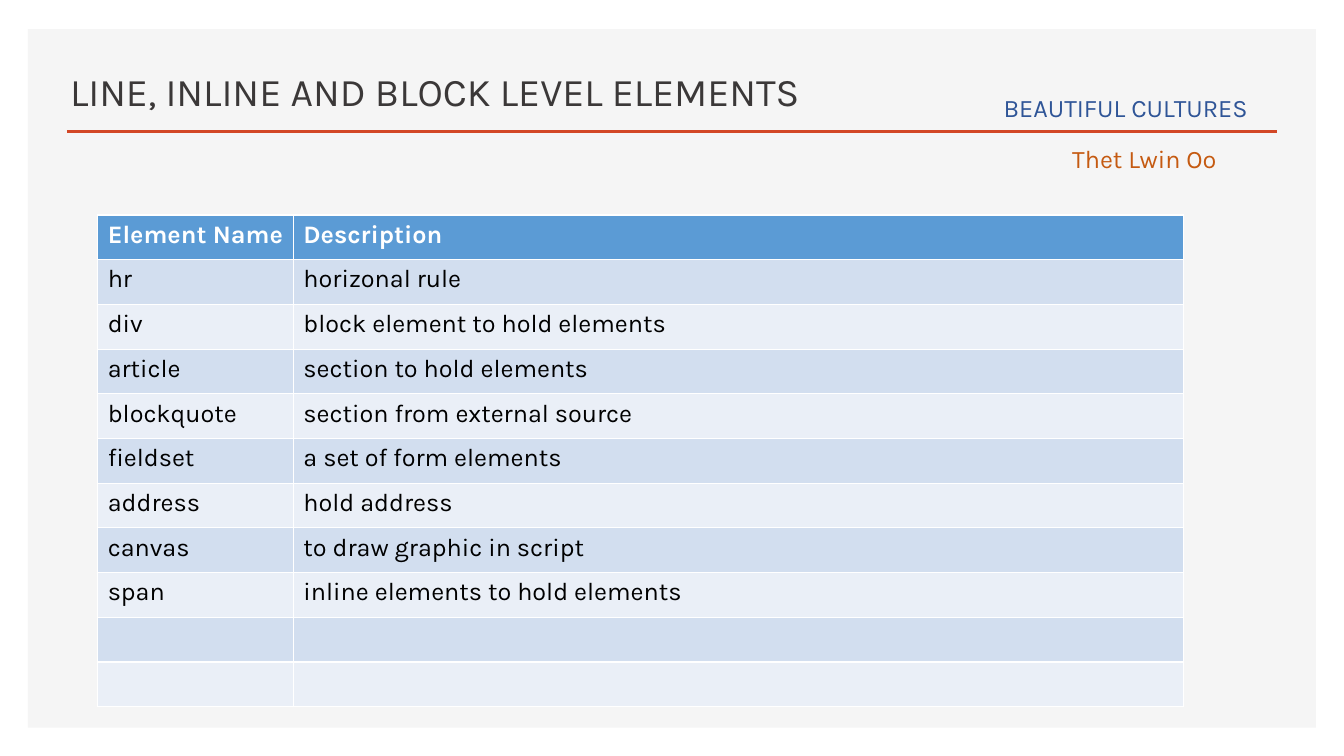
"""Build a slide that lists HTML line, inline and block level elements."""
from dataclasses import dataclass

from lxml.etree import SubElement
from pptx import Presentation
from pptx.dml.color import RGBColor
from pptx.enum.shapes import MSO_CONNECTOR as Connector, MSO_SHAPE as Preset
from pptx.enum.text import MSO_ANCHOR as Anchor, MSO_AUTO_SIZE as AutoSize, PP_ALIGN as Align
from pptx.oxml.ns import qn
from pptx.util import Pt


@dataclass(frozen=True)
class Theme:
    """Colours, font and type sizes of the slide."""
    font: str = "Karla"
    title_size: float = 28
    body_size: float = 18
    panel: str = "F5F5F5"
    rule: str = "D24726"
    title: str = "3B3838"
    series: str = "2F5597"
    author: str = "C55A11"
    header: str = "5B9BD5"
    header_text: str = "FFFFFF"
    cell_text: str = "000000"
    bands: tuple = ("D2DEEF", "EAEFF7")


ELEMENTS = [
    ("Element Name", "Description"),
    ("hr", "horizonal rule"),
    ("div", "block element to hold elements"),
    ("article", "section to hold elements"),
    ("blockquote", "section from external source"),
    ("fieldset", "a set of form elements"),
    ("address", "hold address"),
    ("canvas", "to draw graphic in script"),
    ("span", "inline elements to hold elements"),
    ("", ""),
    ("", ""),
]


def apply(target, **values):
    """Set several attributes on one object."""
    for name, value in values.items():
        setattr(target, name, value)


class Builder:
    """Holds the theme and the current slide, and adds elements to it."""

    def __init__(self, theme, page):
        """Keep the theme and the slide."""
        self.theme, self.page = theme, page

    def paint(self, fill, color):
        """Give a fill one solid colour."""
        fill.solid()
        fill.fore_color.rgb = RGBColor.from_string(color)

    def set_text(self, frame, text, color, size, bold=False):
        """Put one left-aligned paragraph in the theme font."""
        para = frame.paragraphs[0]
        apply(para, text=text, alignment=Align.LEFT)
        for font in [para.font] + [span.font for span in para.runs]:
            apply(font, name=self.theme.font, size=Pt(size), bold=bold)
            font.color.rgb = RGBColor.from_string(color)

    def panel(self, left, top, width, height):
        """Add the plain background panel."""
        box = self.page.shapes.add_shape(
            Preset.RECTANGLE, Pt(left), Pt(top), Pt(width), Pt(height))
        box.shadow.inherit = False
        self.paint(box.fill, self.theme.panel)
        box.line.fill.background()

    def rule(self, left, right, y, weight):
        """Add a horizontal line without a shadow."""
        line = self.page.shapes.add_connector(
            Connector.STRAIGHT, Pt(left), Pt(y), Pt(right), Pt(y))
        self.paint(line.line.fill, self.theme.rule)
        line.line.width = Pt(weight)
        SubElement(line._element.spPr, qn("a:effectLst"))

    def title(self, text, left, top, width, height):
        """Fill the title placeholder and bring it in front of the panel."""
        box = self.page.shapes.title
        apply(box, left=Pt(left), top=Pt(top), width=Pt(width), height=Pt(height))
        apply(box.text_frame, vertical_anchor=Anchor.BOTTOM,
              word_wrap=True, auto_size=AutoSize.NONE)
        self.set_text(box.text_frame, text, self.theme.title, self.theme.title_size)
        self.page.shapes._spTree.append(box._element)

    def label(self, text, color, left, top, width, height):
        """Add a single-line text box."""
        box = self.page.shapes.add_textbox(Pt(left), Pt(top), Pt(width), Pt(height))
        apply(box.text_frame, word_wrap=True, auto_size=AutoSize.SHAPE_TO_FIT_TEXT)
        self.set_text(box.text_frame, text, color, self.theme.body_size)

    def table(self, rows, left, top, widths, row_height):
        """Add a table with a bold header and banded rows."""
        theme = self.theme
        table = self.page.shapes.add_table(
            len(rows), len(widths), Pt(left), Pt(top),
            Pt(sum(widths)), Pt(row_height * len(rows))).table
        for column, width in zip(table.columns, widths):
            column.width = Pt(width)
        for index, row in enumerate(rows):
            is_header = index == 0
            fill = theme.header if is_header else theme.bands[(index - 1) % 2]
            color = theme.header_text if is_header else theme.cell_text
            for column, text in enumerate(row):
                cell = table.cell(index, column)
                self.paint(cell.fill, fill)
                self.set_text(cell.text_frame, text, color, theme.body_size, is_header)


def main():
    """Build and save the deck."""
    theme = Theme()
    deck = Presentation()
    apply(deck, slide_width=Pt(960), slide_height=Pt(540))
    builder = Builder(theme, deck.slides.add_slide(deck.slide_layouts[5]))
    builder.panel(20, 20.8, 920, 499)
    builder.rule(47.8, 912, 94, 2)
    builder.title("LINE, INLINE AND BLOCK LEVEL ELEMENTS", 42.8, 35.2, 540, 50.4)
    builder.label("BEAUTIFUL CULTURES", theme.series, 709.8, 62.2, 201.6, 29)
    builder.label("Thet Lwin Oo", theme.author, 758.8, 98.8, 121, 29)
    builder.table(ELEMENTS, 69.8, 153.6, (139.8, 635.8), 31.92)
    deck.save("out.pptx")


main()
